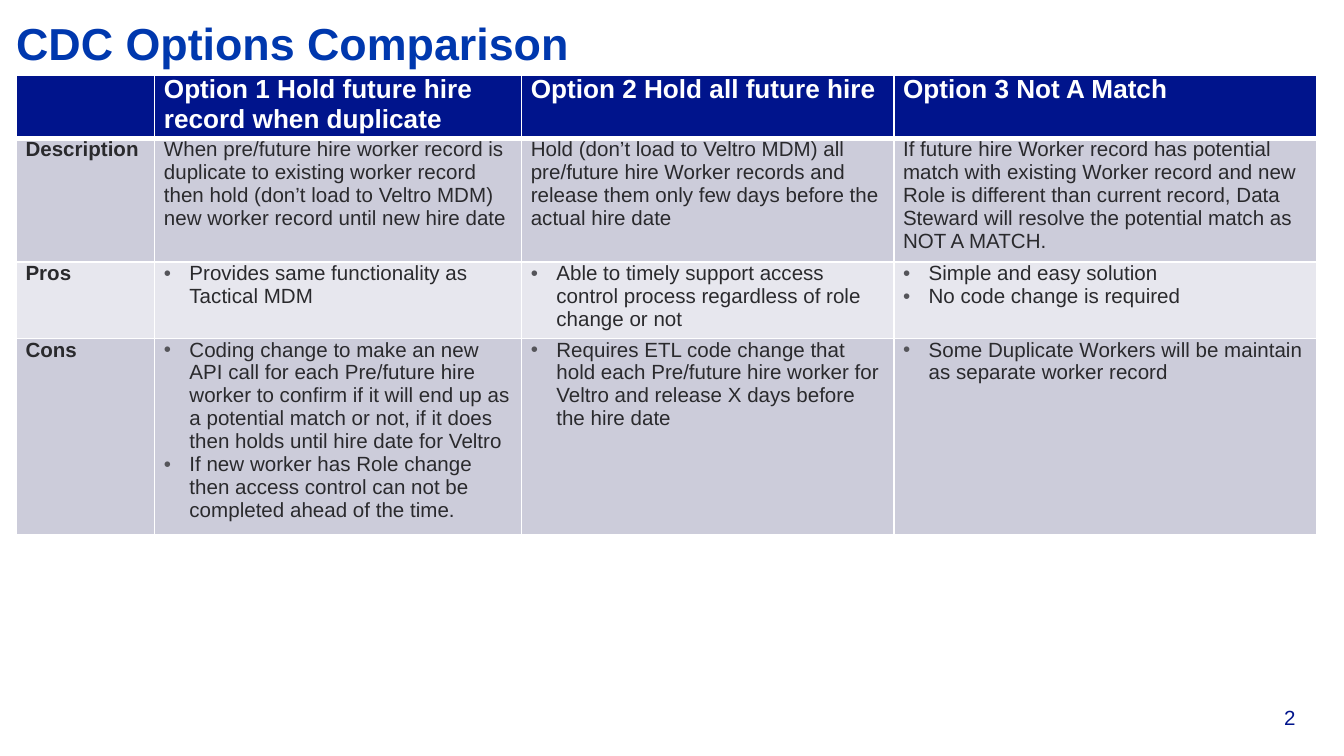
from lxml import etree
from pptx import Presentation, util as u
from pptx.dml.color import RGBColor
from pptx.enum import text
from pptx.oxml import ns

NAVY, BLUE, INK, WHITE = "00148C", "0038AE", "2A2A2D", "FFFFFF"
BULLET, DARK_BAND, LIGHT_BAND = "55555A", "CCCCDA", "E7E7EE"
COLUMN_WIDTHS = [1.03, 2.73, 2.77, 3.15]
ROW_HEIGHTS = [0.47, 0.92, 0.57, 1.46]
ROW_FILLS = [NAVY, DARK_BAND, LIGHT_BAND, DARK_BAND]
MARGIN = 0.12

OPTIONS = [
    ["", "Option 1 Hold future hire record when duplicate",
     "Option 2 Hold all future hire", "Option 3 Not A Match"],
    ["Description",
     "When pre/future hire worker record is duplicate to existing worker record "
     "then hold (don’t load to Veltro MDM) new worker record until new hire date",
     "Hold (don’t load to Veltro MDM) all pre/future hire Worker records and "
     "release them only few days before the actual hire date",
     "If future hire Worker record has potential match with existing Worker record "
     "and new Role is different than current record, Data Steward will resolve "
     "the potential match as NOT A MATCH."],
    ["Pros",
     ["Provides same functionality as Tactical MDM"],
     ["Able to timely support access control process regardless of role change or not"],
     ["Simple and easy solution", "No code change is required"]],
    ["Cons",
     ["Coding change to make an new API call for each Pre/future hire worker to "
      "confirm if it will end up as a potential match or not, if it does then "
      "holds until hire date for Veltro",
      "If new worker has Role change then access control can not be completed "
      "ahead of the time."],
     ["Requires ETL code change that hold each Pre/future hire worker for Veltro "
      "and release X days before the hire date"],
     ["Some Duplicate Workers will be maintain as separate worker record"]],
]


def rgb(value):
    """Turn a hex string into a colour."""
    return RGBColor.from_string(value)


def add_colour(parent, tag, value):
    """Append an element that holds one colour."""
    holder = etree.SubElement(parent, ns.qn(tag))
    etree.SubElement(holder, ns.qn("a:srgbClr"), val=value)


def write(paragraph, words, size, colour, bold=False):
    """Add one formatted run to a paragraph."""
    run = paragraph.add_run()
    run.text = words
    run.font.name, run.font.size, run.font.bold = "Arial", u.Pt(size), bold
    run.font.color.rgb = rgb(colour)


def clear_margins(frame):
    """Wrap the text of a frame with no margins and a fixed size."""
    frame.margin_left = frame.margin_right = frame.margin_top = frame.margin_bottom = 0
    frame.word_wrap = True
    frame.auto_size = text.MSO_AUTO_SIZE.NONE


def add_bullet(paragraph):
    """Give a paragraph a hanging grey bullet."""
    properties = paragraph._p.get_or_add_pPr()
    properties.set("marL", str(u.Inches(0.19)))
    properties.set("indent", str(-u.Inches(0.19)))
    add_colour(properties, "a:buClr", BULLET)
    etree.SubElement(properties, ns.qn("a:buFont"), typeface="Arial")
    etree.SubElement(properties, ns.qn("a:buChar"), char="•")


def add_borders(cell, top, bottom):
    """Draw white borders around a cell."""
    properties = cell._tc.get_or_add_tcPr()
    for side, width in zip("LRTB", [1, 1, top, bottom]):
        line = etree.SubElement(properties, ns.qn(f"a:ln{side}"), w=str(u.Pt(width)))
        add_colour(line, "a:solidFill", WHITE)


def fill_cell(cell, content, row, column):
    """Style one table cell and write its text or bullet list."""
    is_header = row == 0
    add_borders(cell, 3 if row == 1 else 1, 3 if is_header else 1)
    cell.fill.solid()
    cell.fill.fore_color.rgb = rgb(ROW_FILLS[row])
    cell.margin_left = cell.margin_right = u.Inches(0.07)
    cell.margin_top = cell.margin_bottom = 0
    is_list = isinstance(content, list)
    for index, words in enumerate(content if is_list else [content]):
        frame = cell.text_frame
        paragraph = frame.add_paragraph() if index else frame.paragraphs[0]
        if is_list:
            add_bullet(paragraph)
        if words:
            write(paragraph, words, 14 if is_header else 11,
                  WHITE if is_header else INK, is_header or column == 0)
        else:
            paragraph.font.size = u.Pt(14)


def add_title(slide, words):
    """Place the slide title."""
    title = slide.shapes.title
    title.left, title.top = u.Inches(MARGIN), u.Inches(MARGIN)
    title.width, title.height = u.Inches(9.87), u.Inches(0.41)
    clear_margins(title.text_frame)
    title.text_frame.vertical_anchor = text.MSO_ANCHOR.TOP
    heading = title.text_frame.paragraphs[0]
    heading.alignment = text.PP_ALIGN.LEFT
    write(heading, words, 24, BLUE, True)


def add_comparison(slide):
    """Add the table that compares the options."""
    table = slide.shapes.add_table(
        len(ROW_HEIGHTS), len(COLUMN_WIDTHS), u.Inches(MARGIN), u.Inches(0.56),
        u.Inches(sum(COLUMN_WIDTHS)), u.Inches(sum(ROW_HEIGHTS))).table
    for column, width in zip(table.columns, COLUMN_WIDTHS):
        column.width = u.Inches(width)
    for row, height in zip(table.rows, ROW_HEIGHTS):
        row.height = u.Inches(height)
    for row, contents in enumerate(OPTIONS):
        for column, content in enumerate(contents):
            fill_cell(table.cell(row, column), content, row, column)


def add_page_number(slide, number):
    """Add the page number at the bottom right."""
    page = slide.shapes.add_textbox(
        u.Inches(9.06), u.Inches(5.24), u.Inches(0.58), u.Inches(0.19))
    clear_margins(page.text_frame)
    page.text_frame.vertical_anchor = text.MSO_ANCHOR.BOTTOM
    digits = page.text_frame.paragraphs[0]
    digits.alignment = text.PP_ALIGN.RIGHT
    write(digits, number, 11, NAVY)


def main():
    """Build and save the slide."""
    deck = Presentation()
    deck.slide_width = u.Inches(10)
    deck.slide_height = deck.slide_width * 9 // 16
    slide = deck.slides.add_slide(deck.slide_layouts[5])
    add_page_number(slide, "2")
    add_title(slide, "CDC Options Comparison")
    add_comparison(slide)
    deck.save("out.pptx")


if __name__ == "__main__":
    main()
